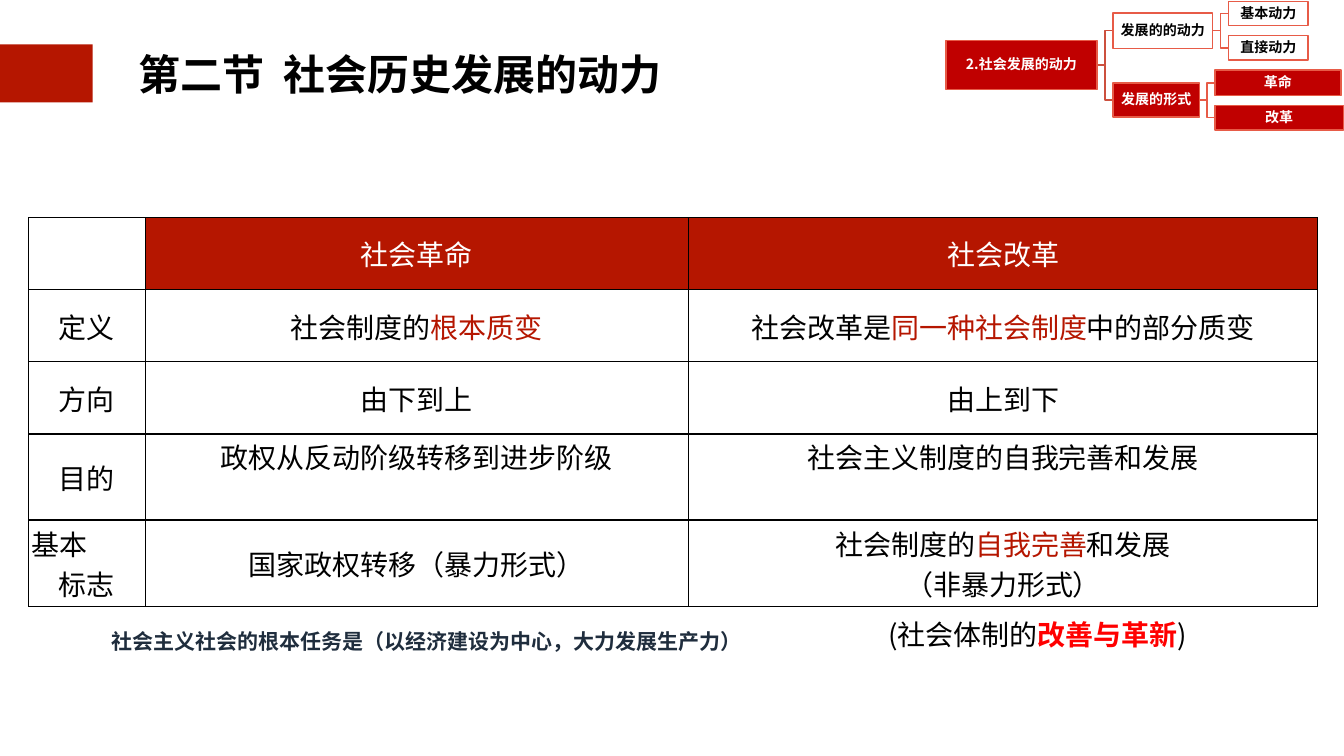
from lxml import etree
from pptx import Presentation
from pptx.dml.color import RGBColor
from pptx.enum.shapes import MSO_CONNECTOR, MSO_SHAPE
from pptx.enum.text import MSO_ANCHOR, MSO_AUTO_SIZE, PP_ALIGN
from pptx.oxml.ns import qn
from pptx.util import Inches, Pt

LEFT, CENTER = PP_ALIGN.LEFT, PP_ALIGN.CENTER
TOP, MIDDLE = MSO_ANCHOR.TOP, MSO_ANCHOR.MIDDLE
BLACK, WHITE = RGBColor(0, 0, 0), RGBColor(255, 255, 255)
BRICK = RGBColor(0xB5, 0x16, 0x00)
CRIMSON = RGBColor(0xC0, 0x00, 0x00)
RED = RGBColor(0xFF, 0x00, 0x00)
CORAL = RGBColor(0xE7, 0x5B, 0x47)
DARK_CORAL = RGBColor(0xCC, 0x50, 0x3E)
NAVY = RGBColor(0x1F, 0x2D, 0x3D)
CJK = "Noto Sans CJK SC"

# Content: a text is a list of paragraphs, a paragraph a list of (text, colour, bold)
TITLE = [[("第二节  社会历史发展的动力", BLACK, True)]]
TASK = [[("社会主义社会的根本任务是（以经济建设为中心，大力发展生产力）", NAVY, True)]]
SYSTEM = [[("(社会体制的", BLACK, False), ("改善与革新", RED, True), (")", BLACK, False)]]


def plain(*lines, color=BLACK):
    return [[(line, color, False)] for line in lines]


ROWS = [
    [None, plain("社会革命", color=WHITE), plain("社会改革", color=WHITE)],
    [plain("定义"),
     [[("社会制度的", BLACK, False), ("根本质变", BRICK, False)]],
     [[("社会改革是", BLACK, False), ("同一种社会制度", BRICK, False),
       ("中的部分质变", BLACK, False)]]],
    [plain("方向"), plain("由下到上"), plain("由上到下")],
    [plain("目的"), plain("政权从反动阶级转移到进步阶级"), plain("社会主义制度的自我完善和发展")],
    [plain("基本", "标志"), plain("国家政权转移（暴力形式）"),
     [[("社会制度的", BLACK, False), ("自我完善", BRICK, False), ("和发展", BLACK, False)],
      [("（非暴力形式）", BLACK, False)]]],
]
COLUMN_WIDTHS = [2.31, 10.78, 12.49]
ROW_HEIGHTS = [1.43, 1.43, 1.43, 1.71, 1.71]
PURPOSE_ROW, SIGN_ROW = 3, 4

# Topic tree: label -> (left, top, width, height), highlighted, parent
TREE = {
    "2.社会发展的动力": ((18.77, 0.8, 3, 0.98), True, None),
    "发展的的动力": ((22.09, 0.26, 1.97, 0.7), False, "2.社会发展的动力"),
    "基本动力": ((24.38, 0.03, 1.58, 0.48), False, "发展的的动力"),
    "直接动力": ((24.38, 0.71, 1.58, 0.48), False, "发展的的动力"),
    "发展的形式": ((22.09, 1.65, 1.71, 0.67), True, "2.社会发展的动力"),
    "革命": ((24.11, 1.39, 2.5, 0.51), True, "发展的形式"),
    "改革": ((24.11, 2.09, 2.55, 0.49), True, "发展的形式"),
}


def write(frame, paragraphs, size, font=CJK, align=CENTER, spacing=None):
    for index, spans in enumerate(paragraphs):
        para = frame.paragraphs[0] if index == 0 else frame.add_paragraph()
        para.alignment = align
        if spacing:
            para.line_spacing = spacing
        for text, color, bold in spans:
            span = para.add_run()
            span.text = text
            span.font.size, span.font.name, span.font.bold = Pt(size), font, bold
            span.font.color.rgb = color
            if font == CJK:
                etree.SubElement(span.font._element, qn("a:ea"), typeface=font)


def set_margins(target, horizontal, vertical):
    target.margin_left = target.margin_right = Inches(horizontal)
    target.margin_top = target.margin_bottom = Inches(vertical)


def border(cell, widths):
    properties = cell._tc.get_or_add_tcPr()
    for position, (side, width) in enumerate(widths.items()):
        line = etree.Element(qn("a:" + side), w=str(Pt(width)))
        fill = etree.SubElement(line, qn("a:solidFill"))
        etree.SubElement(fill, qn("a:srgbClr"), val=str(BLACK))
        properties.insert(position, line)


def add_rectangle(page, area, fill, line=None):
    box = page.shapes.add_shape(MSO_SHAPE.RECTANGLE, *map(Inches, area))
    box.shadow.inherit = False
    if fill is None:
        box.fill.background()
    else:
        box.fill.solid()
        box.fill.fore_color.rgb = fill
    if line is None:
        box.line.fill.background()
    else:
        box.line.color.rgb, box.line.width = line, Pt(2)
    return box


def add_note(page, area, paragraphs, size, font, align, margins):
    frame = page.shapes.add_textbox(*map(Inches, area)).text_frame
    frame.word_wrap = True
    set_margins(frame, *margins)
    write(frame, paragraphs, size, font, align)


def add_comparison(page):
    area = (0.57, 4.32, sum(COLUMN_WIDTHS), sum(ROW_HEIGHTS))
    table = page.shapes.add_table(len(ROWS), len(COLUMN_WIDTHS), *map(Inches, area)).table
    for column, width in zip(table.columns, COLUMN_WIDTHS):
        column.width = Inches(width)
    for r, (row, height) in enumerate(zip(ROWS, ROW_HEIGHTS)):
        table.rows[r].height = Inches(height)
        for c, paragraphs in enumerate(row):
            cell = table.cell(r, c)
            set_margins(cell, 0.05, 0.05)
            cell.vertical_anchor = TOP if r == PURPOSE_ROW and c else MIDDLE
            if paragraphs is None:
                cell.fill.background()
            else:
                cell.fill.solid()
                cell.fill.fore_color.rgb = WHITE if r else BRICK
                write(cell.text_frame, paragraphs, 40)
            inner = 2 if r else 1
            border(cell, {"lnL": inner if c else 1,
                          "lnR": inner if c < len(row) - 1 else 1,
                          "lnT": inner, "lnB": 2})
    table.cell(SIGN_ROW, 0).text_frame.paragraphs[0].alignment = LEFT


def add_tree(page):
    # Elbow lines run from the parent's right edge to the child's left edge
    for (left, top, _, height), _, parent in TREE.values():
        if parent is None:
            continue
        (x, y, w, h), _, grandparent = TREE[parent]
        ends = (x + w, y + h / 2, left, top + height / 2)
        link = page.shapes.add_connector(MSO_CONNECTOR.ELBOW, *map(Inches, ends))
        link.line.color.rgb = CORAL if grandparent else DARK_CORAL
        link.line.width = Pt(2)
        etree.SubElement(link._element.spPr, qn("a:effectLst"))
    for label, (area, highlighted, _) in TREE.items():
        frame = add_rectangle(page, area, CRIMSON if highlighted else None, CORAL).text_frame
        frame.word_wrap = True
        frame.vertical_anchor = MIDDLE
        set_margins(frame, 0.01, 0.01)
        write(frame, [[(label, WHITE if highlighted else BLACK, True)]], 20, spacing=0.9)


def main():
    deck = Presentation()
    deck.slide_width, deck.slide_height = Inches(26.67), Inches(15)
    page = deck.slides.add_slide(deck.slide_layouts[5])

    # Title with its red tab
    add_rectangle(page, (-0.03, 0.88, 1.87, 1.15), BRICK)
    title = page.shapes.title
    title.left, title.top, title.width, title.height = map(Inches, (2.64, 0.76, 14.75, 1.39))
    frame = title.text_frame
    frame.word_wrap = True
    frame.auto_size = MSO_AUTO_SIZE.NONE
    frame.vertical_anchor = MIDDLE
    set_margins(frame, 0.11, 0.11)
    write(frame, TITLE, 60, "Arial", LEFT)

    add_comparison(page)
    add_tree(page)

    # Notes under the table
    add_note(page, (16.77, 12.19, 7.64, 0.78), SYSTEM, 40, CJK, CENTER, (0.06, 0.06))
    add_note(page, (2.12, 12.43, 13.33, 0.61), TASK, 30, "Roboto", LEFT, (0.1, 0.05))

    deck.save("out.pptx")


if __name__ == "__main__":
    main()
